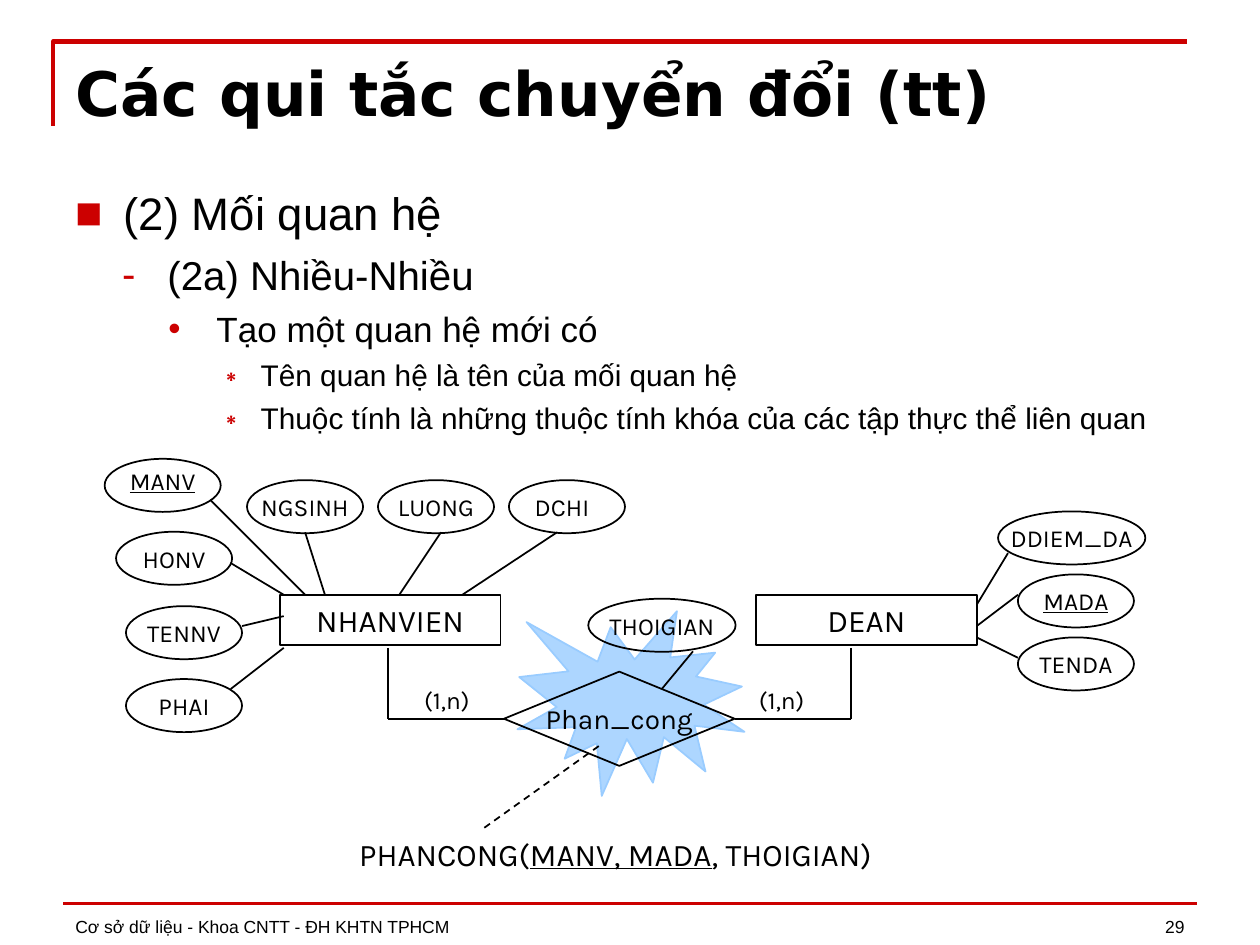
from lxml.etree import SubElement
from pptx import Presentation
from pptx.dml.color import RGBColor
from pptx.enum.dml import MSO_LINE
from pptx.enum.shapes import MSO_CONNECTOR, MSO_SHAPE
from pptx.enum.text import MSO_ANCHOR as ANC, MSO_AUTO_SIZE as FIT, PP_ALIGN as AL
from pptx.oxml.ns import qn
from pptx.util import Cm, Pt


def ink(code):
    return RGBColor.from_string(code)


def say(para, text, size, face="Karla", bold=False, under=False):
    run = para.add_run()
    run.text = text
    font = run.font
    font.size, font.name = Pt(size), face
    font.bold, font.underline = bold, under
    font.color.rgb = ink(BLACK)


BLACK, RED, BLUE = "000000", "CC0000", "99CCFF"

deck = Presentation()
deck.slide_width, deck.slide_height = Cm(25.4), Cm(19.05)
slide = deck.slides.add_slide(deck.slide_layouts[1])
shapes = slide.shapes

pen = shapes.build_freeform(Cm(1.07), Cm(2.54), scale=1.0)
pen.add_line_segments([(Cm(1.07), Cm(0.84)), (Cm(23.93), Cm(0.84))], close=False)
frame = pen.convert_to_shape()
frame.shadow.inherit = False
frame.fill.background()
frame.line.color.rgb = ink(RED)
frame.line.width = Pt(2.5)

title = shapes.title
title.left, title.top, title.width, title.height = Cm(1.27), Cm(0.99), Cm(22.86), Cm(1.73)
title.text_frame.auto_size = FIT.NONE
title.text_frame.vertical_anchor = ANC.MIDDLE
head = title.text_frame.paragraphs[0]
head.alignment = AL.LEFT
say(head, "Các qui tắc chuyển đổi (tt)", 35, "DejaVu Sans", bold=True)

body = slide.placeholders[1]
body.left, body.top, body.width, body.height = Cm(1.27), Cm(3.61), Cm(22.86), Cm(13.44)
body.text_frame.auto_size = FIT.NONE
items = [
    (0, "■", 0.97, 0.97, 26, 0, "(2) Mối quan hệ"),
    (1, "-", 1.85, 0.91, 23, 5.8, "(2a) Nhiều-Nhiều"),
    (2, "•", 2.84, 0.97, 20, 5, "Tạo một quan hệ mới có"),
    (3, "∗", 3.73, 0.89, 17, 4.2, "Tên quan hệ là tên của mối quan hệ"),
    (3, "∗", 3.73, 0.89, 17, 4.2,
     "Thuộc tính là những thuộc tính khóa của các tập thực thể liên quan"),
]
for num, (level, mark, left, hang, size, gap, text) in enumerate(items):
    para = body.text_frame.paragraphs[0] if num == 0 else body.text_frame.add_paragraph()
    para.level = level
    props = para._p.get_or_add_pPr()
    props.set("marL", str(Cm(left)))
    props.set("indent", str(-Cm(hang)))
    tint = SubElement(props, qn("a:buClr"))
    SubElement(tint, qn("a:srgbClr")).set("val", RED)
    SubElement(props, qn("a:buFont")).set("typeface", "Arial")
    SubElement(props, qn("a:buChar")).set("char", mark)
    para.alignment = AL.JUSTIFY
    para.space_before = Pt(gap)
    say(para, text, size, "Arial")

burst = shapes.add_shape(MSO_SHAPE.EXPLOSION1, Cm(10.44), Cm(12.27), Cm(4.6), Cm(3.81))
burst.rotation = 3.5
burst.shadow.inherit = False
burst.fill.solid()
burst.fill.fore_color.rgb = ink(BLUE)
shade = burst.fill._xPr.find(qn("a:solidFill"))[0]
SubElement(shade, qn("a:alpha")).set("val", "80000")
burst.line.color.rgb = ink(BLUE)
burst.line.width = Pt(1)

RECT, OVAL = MSO_SHAPE.RECTANGLE, MSO_SHAPE.OVAL
ENT, SMALL, WIDE = (4.45, 1.02), (2.34, 1.07), (2.97, 1.07)
nodes = [
    (RECT, "DEAN", 15.24, 11.99, ENT, 18),
    (OVAL, "DDIEM_DA", 20.12, 10.31, WIDE, 14),
    (OVAL, "MADA", 20.52, 11.58, SMALL, 14),
    (OVAL, "TENDA", 20.52, 12.85, SMALL, 14),
    (RECT, "NHANVIEN", 5.64, 11.99, ENT, 18),
    (OVAL, "MANV", 2.11, 9.25, SMALL, 14),
    (OVAL, "HONV", 2.34, 10.72, SMALL, 14),
    (OVAL, "TENNV", 2.54, 12.22, SMALL, 14),
    (OVAL, "PHAI", 2.54, 13.69, SMALL, 14),
    (OVAL, "NGSINH", 4.98, 9.68, SMALL, 14),
    (OVAL, "LUONG", 7.62, 9.68, SMALL, 14),
    (OVAL, "DCHI", 10.26, 9.68, SMALL, 14),
    (OVAL, "THOIGIAN", 11.86, 12.07, WIDE, 14),
    (MSO_SHAPE.FLOWCHART_DECISION, "Phan_cong", 10.16, 13.54, (4.65, 1.9), 16),
]
made = {}
for kind, text, x, y, (w, h), size in nodes:
    node = made[text] = shapes.add_shape(kind, Cm(x), Cm(y), Cm(w), Cm(h))
    node.shadow.inherit = False
    node.fill.background()
    node.line.color.rgb = ink(BLACK)
    node.line.width = Pt(1)
    area = node.text_frame
    area.word_wrap = False
    area.vertical_anchor = ANC.MIDDLE
    area.margin_left = area.margin_right = area.margin_top = area.margin_bottom = 0
    area.paragraphs[0].alignment = AL.CENTER
    say(area.paragraphs[0], text, size, under=text in ("MANV", "MADA"))
made["MANV"].text_frame.margin_bottom = Cm(0.2)
made["DCHI"].text_frame.margin_right = Cm(0.2)

MID = 14.49
links = [
    (19.69, 12.19, 20.32, 11.15), (19.69, 12.62, 20.52, 11.99), (19.69, 12.85, 20.52, 13.26),
    (5.72, 13.06, 4.65, 13.89), (5.72, 12.42, 4.88, 12.62), (5.72, 11.99, 4.65, 11.35),
    (6.55, 11.99, 6.15, 10.73), (8.05, 11.99, 8.89, 10.73), (9.32, 11.99, 11.23, 10.73),
    (6.15, 11.99, 4.24, 10.08), (13.34, 13.89, 13.97, 13.13),
    (7.82, 13.06, 7.82, MID), (17.15, 13.06, 17.15, MID),
    (7.82, MID, 10.16, MID, 1), (17.15, MID, 14.81, MID, 3),
    (12.07, 15.04, 9.73, 16.71), (1.27, 18.21, 24.13, 18.21),
]
for x, y, to_x, to_y, *site in links:
    link = shapes.add_connector(MSO_CONNECTOR.STRAIGHT, Cm(x), Cm(y), Cm(to_x), Cm(to_y))
    SubElement(link._element.spPr, qn("a:effectLst"))
    link.line.color.rgb = ink(BLACK)
    link.line.width = Pt(1)
    if site:
        link.end_connect(made["Phan_cong"], site[0])
    if to_y == 16.71:
        link.line.dash_style = MSO_LINE.DASH
link.line.color.rgb = ink(RED)
link.line.width = Pt(2)

notes = [
    (7.42, 13.69, 3.18, 0.86, AL.CENTER, ANC.TOP, 14, "Karla", ["(1,n)"]),
    (14.17, 13.69, 3.18, 0.86, AL.CENTER, ANC.TOP, 14, "Karla", ["(1,n)"]),
    (6.99, 16.71, 12.07, 1.02, AL.LEFT, ANC.TOP, 18, "Karla",
     ["PHANCONG(", "MANV, MADA", ", THOIGIAN)"]),
    (1.27, 17.75, 15.44, 1.27, AL.LEFT, ANC.BOTTOM, 10, "Arial",
     ["Cơ sở dữ liệu - Khoa CNTT - ĐH KHTN TPHCM"]),
    (18.21, 17.75, 5.92, 1.27, AL.RIGHT, ANC.BOTTOM, 10, "Arial", ["29"]),
]
for x, y, w, h, align, hold, size, face, parts in notes:
    area = shapes.add_textbox(Cm(x), Cm(y), Cm(w), Cm(h)).text_frame
    area.word_wrap = True
    area.vertical_anchor = hold
    area.paragraphs[0].alignment = align
    for num, part in enumerate(parts):
        say(area.paragraphs[0], part, size, face, under=num == 1)

deck.save("out.pptx")
